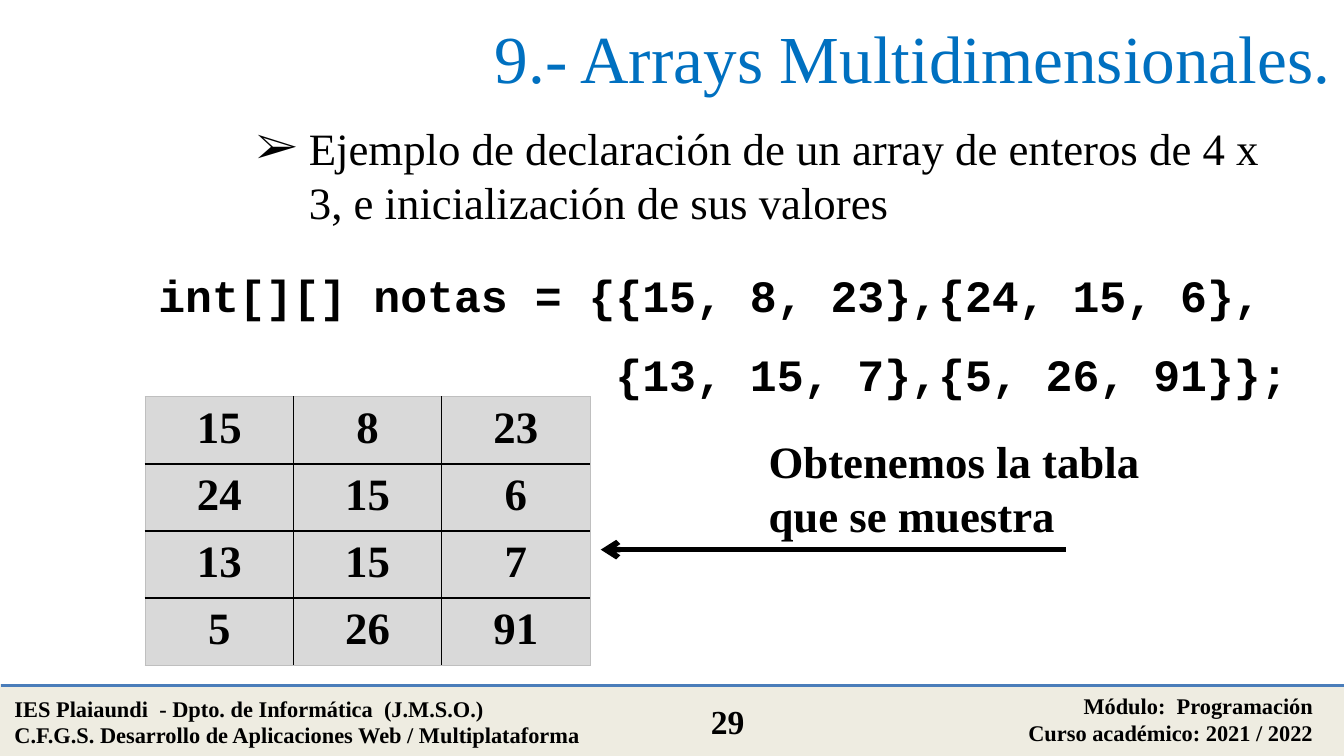
"""Build a slide on declaring and initialising a two-dimensional array."""
from pptx import Presentation
from pptx.dml.color import RGBColor
from pptx.enum.shapes import MSO_CONNECTOR as CONN, MSO_SHAPE as SHAPE
from pptx.enum.text import MSO_ANCHOR as ANCHOR, PP_ALIGN as ALIGN
from pptx.oxml.ns import qn
from pptx.util import Inches, Pt
from lxml.etree import SubElement

SERIF, MONO = "Times New Roman", "Courier New"
VALUES = [[15, 8, 23], [24, 15, 6], [13, 15, 7], [5, 26, 91]]


def rgb(value):
    return RGBColor.from_string(value)


def write(tf, text, size, bold=True, color="000000", font=SERIF, align=ALIGN.LEFT):
    tf.word_wrap = True
    tf.text = text
    for p in tf.paragraphs:
        p.alignment = align
        for r in p.runs:
            r.font.name, r.font.size, r.font.bold = font, Pt(size), bold
            r.font.color.rgb = rgb(color)


prs = Presentation()
prs.slide_width = Inches(10)
prs.slide_height = prs.slide_width * 9 // 16
s = prs.slides.add_slide(prs.slide_layouts[6])

band = s.shapes.add_shape(SHAPE.RECTANGLE, Inches(0.01), Inches(5.1), Inches(10), Inches(0.52))
band.shadow.inherit = False
band.fill.solid()
band.fill.fore_color.rgb = band.line.color.rgb = rgb("EEECE1")
band.line.width = Pt(2)

for x1, x2, y, color, width, arrow in [
    (0.01, 10.01, 5.1, "4A7DBA", 2, False),
    (7.93, 4.47, 4.09, "000000", 3, True),
]:
    line = s.shapes.add_connector(CONN.STRAIGHT, Inches(x1), Inches(y), Inches(x2), Inches(y))
    line.line.color.rgb = rgb(color)
    line.line.width = Pt(width)
    if arrow:
        SubElement(line.line._get_or_add_ln(), qn("a:tailEnd"), type="arrow")
    SubElement(line._element.spPr, qn("a:effectLst"))

footer = "IES Plaiaundi  - Dpto. de Informática  (J.M.S.O.)\nC.F.G.S. Desarrollo de Aplicaciones Web / Multiplataforma"
course = "Módulo:  Programación\nCurso académico: 2021 / 2022"
title = "9.- Arrays Multidimensionales."
intro = "Ejemplo de declaración de un array de enteros de 4 x 3, e inicialización de sus valores"
code = "int[][] notas = {{15, 8, 23},{24, 15, 6},\n                 {13, 15, 7},{5, 26, 91}};"
result = "Obtenemos la tabla que se muestra"

frames = {}
for text, box, size, style in [
    (footer, (0.01, 5.12, 4.66, 0.5), 12, {}),
    (course, (5.87, 5.1, 4, 0.5), 12, {"align": ALIGN.RIGHT}),
    ("29", (5.01, 5.17, 0.81, 0.4), 18, {"align": ALIGN.CENTER}),
    (title, (1.07, 0, 8.93, 0.84), 36, {"bold": False, "color": "0070C0", "align": ALIGN.RIGHT}),
    (intro, (1.81, 0.85, 7.76, 0.91), 24, {"bold": False}),
    (code, (1.08, 1.76, 8.67, 1.28), 24, {"font": MONO}),
    (result, (5.62, 3.18, 3.54, 0.91), 24, {}),
]:
    sp = s.shapes.add_textbox(*map(Inches, box))
    frames[text] = sp.text_frame
    write(sp.text_frame, text, size, **style)

frames[title].vertical_anchor = ANCHOR.MIDDLE

for text, indent in [(intro, 0.39), (code, 0.56)]:
    for p in frames[text].paragraphs:
        pPr = p._p.get_or_add_pPr()
        pPr.set("marL", str(Inches(indent)))
        pPr.set("indent", str(-Inches(indent)))
        if text == code:
            p.line_spacing = Pt(42)
        else:
            SubElement(SubElement(pPr, qn("a:buClr")), qn("a:srgbClr"), val="000000")
            SubElement(pPr, qn("a:buFont"), typeface=SERIF)
            SubElement(pPr, qn("a:buChar"), char="➢")

rows, cols = len(VALUES), len(VALUES[0])
table = s.shapes.add_table(rows, cols, Inches(1.08), Inches(2.95), Inches(3.31), Inches(2)).table
for i, row in enumerate(VALUES):
    for j, value in enumerate(row):
        cell = table.cell(i, j)
        write(cell.text_frame, str(value), 24, align=ALIGN.CENTER)
        tcPr = cell._tc.get_or_add_tcPr()
        inner = {"lnL": j > 0, "lnR": j < cols - 1, "lnT": i > 0, "lnB": i < rows - 1}
        for side, is_inner in inner.items():
            color, width = ("000000", 1) if is_inner else ("BFBFBF", 0.5)
            ln = SubElement(tcPr, qn(f"a:{side}"), w=str(Pt(width)))
            SubElement(SubElement(ln, qn("a:solidFill")), qn("a:srgbClr"), val=color)
        cell.fill.solid()
        cell.fill.fore_color.rgb = rgb("D9D9D9")

prs.save("out.pptx")
